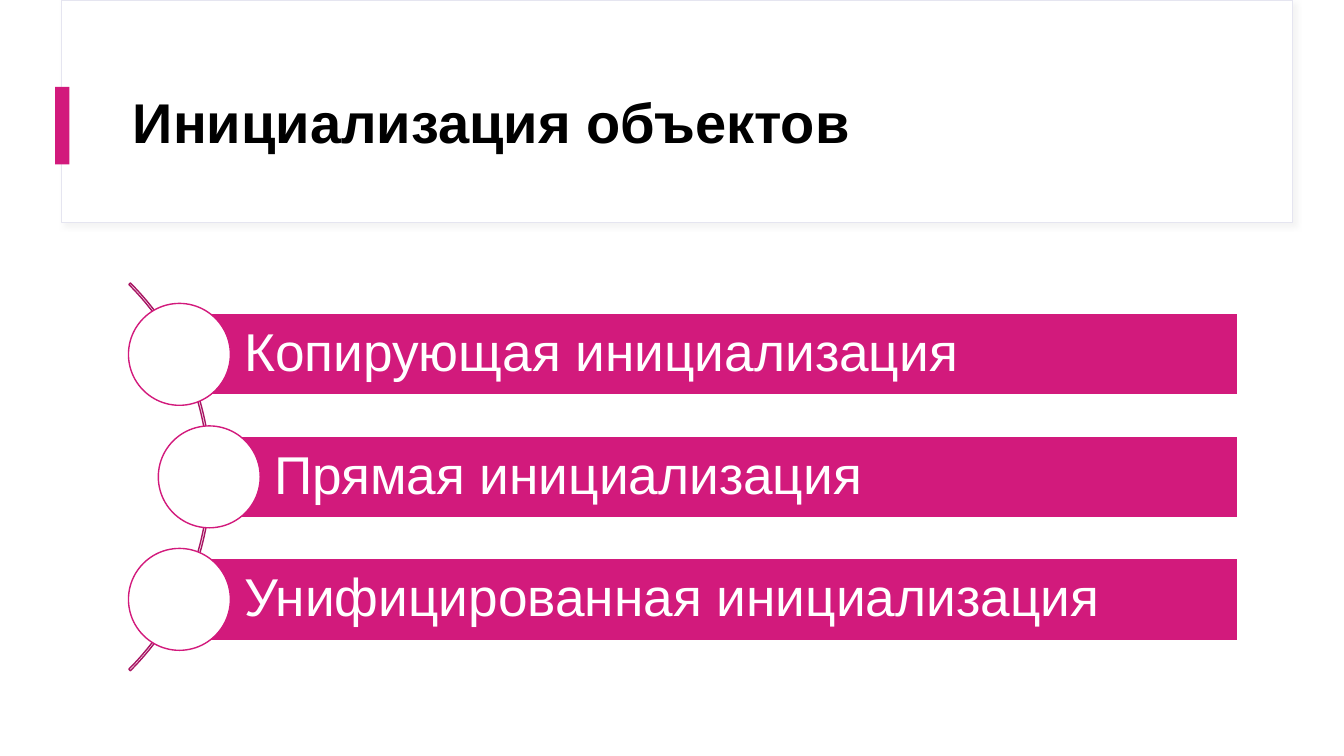
from dataclasses import dataclass

from lxml.etree import SubElement
from pptx import Presentation
from pptx.dml.color import RGBColor
from pptx.enum.shapes import MSO_SHAPE as Shape
from pptx.enum.text import MSO_ANCHOR as Anchor, MSO_AUTO_SIZE as AutoSize, PP_ALIGN as Align
from pptx.oxml.ns import qn
from pptx.util import Pt

PINK, DARK_PINK, WHITE, BLACK = "D21A7C", "A81563", "FFFFFF", "000000"
BAR_TOP, BAR_STEP, BAR_HEIGHT, BAR_RIGHT = 224, 87.5, 58.3, 884.4
CIRCLE = 72.8


@dataclass
class Box:
    left: float
    top: float
    width: float
    height: float

    def lengths(self) -> tuple:
        return tuple(Pt(v) for v in (self.left, self.top, self.width, self.height))


@dataclass
class Item:
    text: str
    left: float


ITEMS = [
    Item("Копирующая инициализация", 128.2),
    Item("Прямая инициализация", 149.5),
    Item("Унифицированная инициализация", 128.2),
]


def paint(color_format, hex_color: str) -> None:
    color_format.rgb = RGBColor.from_string(hex_color)


def add_shape(s, kind, box: Box, fill: str = "", line: str = "", weight: float = 1):
    """Draw a preset shape; an empty colour means no fill or no line."""
    sp = s.shapes.add_shape(kind, *box.lengths())
    sp.shadow.inherit = False
    if fill:
        sp.fill.solid()
        paint(sp.fill.fore_color, fill)
    else:
        sp.fill.background()
    if line:
        paint(sp.line.color, line)
        sp.line.width = Pt(weight)
    else:
        sp.line.fill.background()
    return sp


def add_soft_shadow(sp) -> None:
    effects = sp.element.spPr.find(qn("a:effectLst"))
    shadow = SubElement(effects, qn("a:outerShdw"), blurRad=str(Pt(4)),
                        dist=str(Pt(3)), dir="2700000", algn="tl", rotWithShape="0")
    color = SubElement(shadow, qn("a:srgbClr"), val="D9D9D9")
    SubElement(color, qn("a:alpha"), val="30000")


def write(sp, text: str, color: str, font: dict, frame: dict) -> None:
    tf = sp.text_frame
    frame = {"word_wrap": True, "auto_size": AutoSize.NONE,
             "vertical_anchor": Anchor.MIDDLE, **frame}
    for name, value in frame.items():
        setattr(tf, name, value)
    p = tf.paragraphs[0]
    p.alignment, p.line_spacing = Align.LEFT, 0.9
    r = p.add_run()
    r.text = text
    for name, value in {"name": "Arial", **font}.items():
        setattr(r.font, name, value)
    paint(r.font.color, color)


def add_header(s) -> None:
    card = add_shape(s, Shape.RECTANGLE, Box(44, 0, 879, 159), WHITE, "E5E5F0", 0.75)
    add_soft_shadow(card)
    add_shape(s, Shape.RECTANGLE, Box(39.4, 62, 10.2, 55.4), PINK)
    title = s.shapes.title
    title.left, title.top, title.width, title.height = Box(87.8, 43.2, 800.6, 92.9).lengths()
    write(title, "Инициализация объектов", BLACK, {"size": Pt(40), "bold": True}, {})
    title.element.getparent().append(title.element)  # in front of the card


def add_item(s, item: Item, top: float) -> None:
    """Draw a bar with a circle centred on the middle of its left side."""
    bar = add_shape(s, Shape.RECTANGLE,
                    Box(item.left, top, BAR_RIGHT - item.left, BAR_HEIGHT), PINK, WHITE)
    insets = {"margin_left": Pt(46.3), "margin_right": Pt(7.6),
              "margin_top": Pt(7.6), "margin_bottom": Pt(7.6)}
    write(bar, item.text, WHITE, {"size": Pt(38)}, insets)
    add_shape(s, Shape.OVAL, Box(item.left - CIRCLE / 2, top + (BAR_HEIGHT - CIRCLE) / 2,
                                 CIRCLE, CIRCLE), WHITE, PINK)


def main() -> None:
    prs = Presentation()
    prs.slide_width, prs.slide_height = Pt(960), Pt(540)
    s = prs.slides.add_slide(prs.slide_layouts[5])
    add_header(s)
    arc = add_shape(s, Shape.BLOCK_ARC, Box(-241.2, 144.8, 391.7, 391.7), line=DARK_PINK)
    for i, value in enumerate((189, 27, 0.004)):
        arc.adjustments[i] = value
    for i, item in enumerate(ITEMS):
        add_item(s, item, BAR_TOP + i * BAR_STEP)
    prs.save("out.pptx")


if __name__ == "__main__":
    main()
